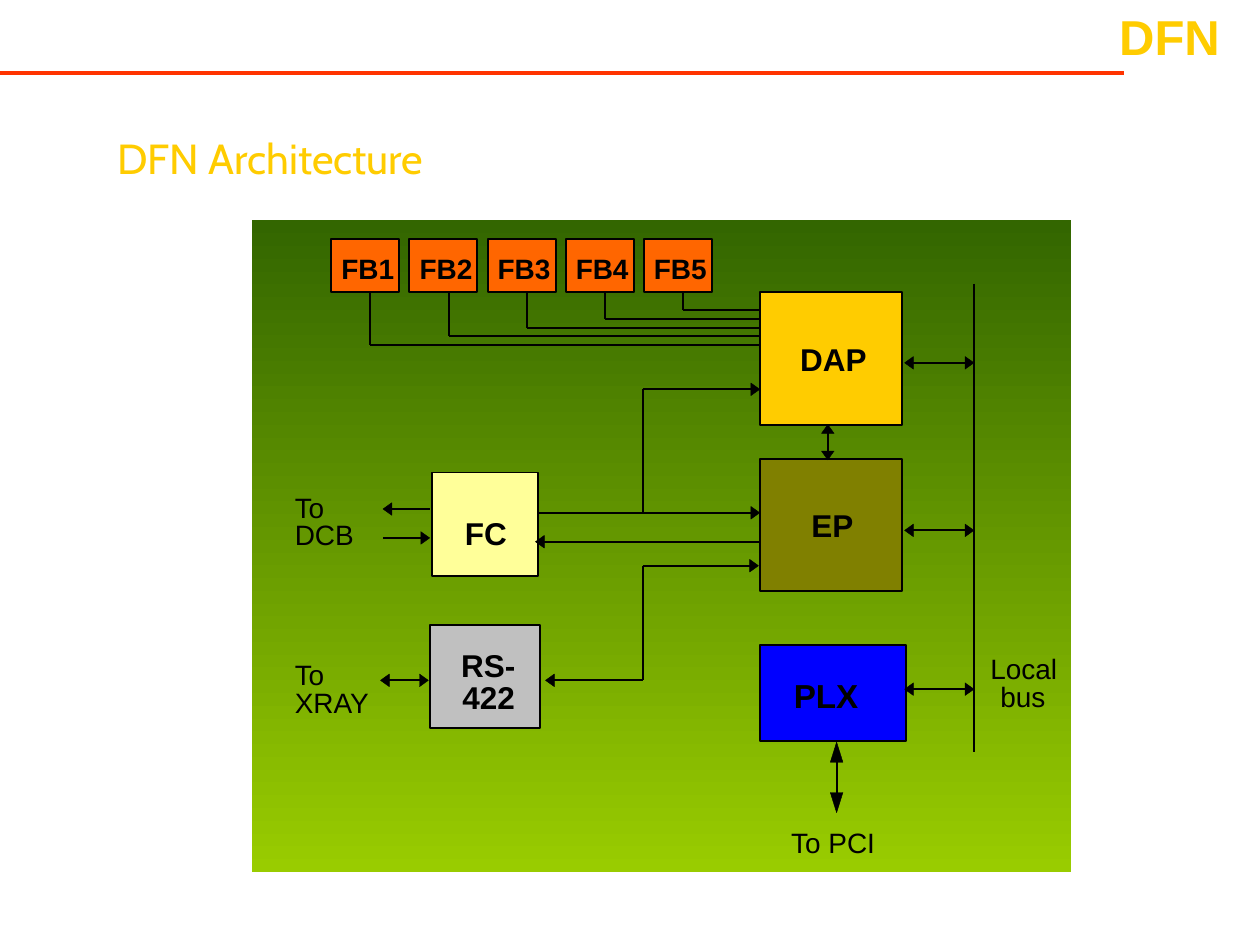
"""Build the DFN architecture slide."""
from dataclasses import dataclass
from itertools import pairwise
from math import hypot

from lxml import etree
from pptx import Presentation
from pptx.dml.color import RGBColor
from pptx.enum.shapes import MSO_CONNECTOR, MSO_SHAPE
from pptx.enum.text import MSO_ANCHOR, MSO_AUTO_SIZE, PP_ALIGN
from pptx.oxml.ns import qn
from pptx.util import Inches, Pt

RECTANGLE = MSO_SHAPE.RECTANGLE
STRAIGHT = MSO_CONNECTOR.STRAIGHT
LEFT, RIGHT = PP_ALIGN.LEFT, PP_ALIGN.RIGHT
TOP, BOTTOM = MSO_ANCHOR.TOP, MSO_ANCHOR.BOTTOM
GROW = MSO_AUTO_SIZE.SHAPE_TO_FIT_TEXT

Point = tuple[float, float]


@dataclass(frozen=True)
class Theme:
    ink: str = "000000"
    gold: str = "FFCC00"
    olive: str = "808000"
    blue: str = "0000FF"
    rule: str = "FF3300"
    panel_top: str = "336600"
    panel_bottom: str = "99CC00"
    feedback: str = "FF6600"
    font: str = "Arial"
    heading_font: str = "Cabin"
    label: float = 16
    block: float = 18
    large_block: float = 19
    heading: float = 24
    title: float = 28
    wire: float = 1.13
    arrow_edge: float = 0.25
    rule_width: float = 2.25


THEME = Theme()


@dataclass(frozen=True)
class Block:
    left: float
    top: float
    width: float
    height: float
    fill: str


@dataclass(frozen=True)
class Label:
    text: str
    left: float
    top: float
    width: float
    height: float = 0.27
    size: float = THEME.label
    bold: bool = False
    color: str = THEME.ink
    font: str = THEME.font
    align: PP_ALIGN = LEFT
    anchor: MSO_ANCHOR = TOP
    fill: str = ""
    inset: float = 0


@dataclass(frozen=True)
class Wire:
    points: tuple[Point, ...]
    start_arrow: bool = False
    end_arrow: bool = False
    arrow_length: float = 0.07
    color: str = THEME.ink
    width: float = THEME.wire


BLOCKS = (
    Block(6.03, 2.32, 1.13, 1.05, THEME.gold),
    Block(6.03, 3.64, 1.13, 1.05, THEME.olive),
    Block(6.03, 5.12, 1.16, 0.76, THEME.blue),
    Block(3.43, 3.75, 0.84, 0.82, "FFFF99"),
    Block(3.41, 4.96, 0.88, 0.82, "C0C0C0"),
)

LABELS = (
    Label("DAP", 6.28, 2.7, 0.62, 0.3, THEME.block, True, fill=THEME.gold, inset=0.07),
    Label("EP", 6.3, 4.02, 0.49, 0.3, THEME.block, True, fill=THEME.olive, inset=0.14),
    Label("PLX", 6.3, 5.36, 0.54, 0.32, THEME.large_block, True, fill=THEME.blue),
    Label("FC", 3.69, 4.08, 0.36, 0.3, THEME.block, True),
    Label("RS-", 3.66, 5.13, 0.46, 0.3, THEME.block, True),
    Label("422", 3.67, 5.38, 0.44, 0.3, THEME.block, True),
    Label("To", 2.34, 3.89, 0.26),
    Label("DCB", 2.34, 4.11, 0.48),
    Label("To", 2.34, 5.22, 0.26),
    Label("XRAY", 2.34, 5.44, 0.61),
    Label("Local", 7.86, 5.17, 0.54),
    Label("bus", 7.94, 5.39, 0.44),
    Label("To PCI", 6.28, 6.55, 0.7),
    Label("DFN Architecture", 0.93, 1.05, 8.13, 0.4, THEME.heading,
          color=THEME.gold, font=THEME.heading_font),
    Label("DFN", 0.43, 0.05, 9.25, 0.47, THEME.title, True, THEME.gold,
          align=RIGHT, anchor=BOTTOM),
)

WIRES = (
    Wire(((7.73, 2.25), (7.73, 5.97))),
    *(Wire(((7.18, y), (7.73, y)), True, True) for y in (2.88, 4.21, 5.47)),
    Wire(((6.57, 3.37), (6.57, 3.65)), True, True),
    Wire(((6.64, 5.89), (6.64, 6.45)), True, True, 0.16),
    Wire(((4.27, 4.07), (6.03, 4.07)), end_arrow=True),
    Wire(((6.03, 4.3), (4.25, 4.3)), end_arrow=True),
    Wire(((3.41, 4.04), (3.04, 4.04)), end_arrow=True),
    Wire(((3.04, 4.27), (3.41, 4.27)), end_arrow=True),
    Wire(((3.02, 5.4), (3.4, 5.4)), True, True),
    Wire(((5.1, 4.07), (5.1, 3.09), (6.03, 3.09)), end_arrow=True),
    Wire(((4.33, 5.4), (5.1, 5.4), (5.1, 4.49), (6.02, 4.49)), True, True),
)


def rgb(value: str) -> RGBColor:
    """Turn a hex string into a colour."""
    return RGBColor.from_string(value)


def paint(shape, fill: str, width: float) -> None:
    """Give a shape a flat fill and a black outline."""
    shape.shadow.inherit = False
    shape.fill.solid()
    shape.fill.fore_color.rgb = rgb(fill)
    shape.line.color.rgb = rgb(THEME.ink)
    shape.line.width = Pt(width)


def draw_panel(page) -> None:
    """Draw the gradient panel behind the diagram."""
    panel = page.shapes.add_shape(RECTANGLE, Inches(2), Inches(1.75), Inches(6.5), Inches(5.17))
    panel.shadow.inherit = False
    panel.line.fill.background()
    panel.fill.gradient()
    panel.fill.gradient_angle = 270
    for stop, color in zip(panel.fill.gradient_stops, (THEME.panel_top, THEME.panel_bottom)):
        stop.color.rgb = rgb(color)


def draw_block(page, block: Block) -> None:
    """Draw one outlined block."""
    edges = map(Inches, (block.left, block.top, block.width, block.height))
    paint(page.shapes.add_shape(RECTANGLE, *edges), block.fill, THEME.wire)


def draw_label(page, label: Label) -> None:
    """Draw one line of text."""
    edges = map(Inches, (label.left, label.top, label.width, label.height))
    box = page.shapes.add_textbox(*edges)
    if label.fill:
        box.fill.solid()
        box.fill.fore_color.rgb = rgb(label.fill)
    frame_format = {"margin_left": Inches(label.inset), "margin_top": 0, "margin_right": 0,
                    "margin_bottom": 0, "word_wrap": label.width > 1, "auto_size": GROW,
                    "vertical_anchor": label.anchor}
    for name, value in frame_format.items():
        setattr(box.text_frame, name, value)
    para = box.text_frame.paragraphs[0]
    para.alignment = label.align
    span = para.add_run()
    span.text = label.text
    font_format = {"name": label.font, "size": Pt(label.size), "bold": label.bold}
    for name, value in font_format.items():
        setattr(span.font, name, value)
    span.font.color.rgb = rgb(label.color)


def step_back(tip: Point, origin: Point, distance: float) -> Point:
    """Return the point at a distance from the tip toward the origin."""
    share = distance / hypot(origin[0] - tip[0], origin[1] - tip[1])
    return tip[0] + (origin[0] - tip[0]) * share, tip[1] + (origin[1] - tip[1]) * share


def draw_arrowhead(page, tip: Point, origin: Point, length: float) -> None:
    """Draw a filled triangle that points from the origin to the tip."""
    base = step_back(tip, origin, length)
    across, down = (0.05 * (base[i] - tip[i]) / length for i in (0, 1))
    corners = ((base[0] - down, base[1] + across), (base[0] + down, base[1] - across))
    builder = page.shapes.build_freeform(*map(Inches, tip))
    builder.add_line_segments([tuple(map(Inches, corner)) for corner in corners])
    paint(builder.convert_to_shape(), THEME.ink, THEME.arrow_edge)


def draw_wire(page, wire: Wire) -> None:
    """Draw a run of straight segments with arrowheads at its ends."""
    points = list(wire.points)
    for shown, end, neighbour in ((wire.start_arrow, 0, 1), (wire.end_arrow, -1, -2)):
        if shown:
            tip, origin = wire.points[end], wire.points[neighbour]
            draw_arrowhead(page, tip, origin, wire.arrow_length)
            points[end] = step_back(tip, origin, 0.75 * wire.arrow_length)
    for start, end in pairwise(points):
        line = page.shapes.add_connector(STRAIGHT, *map(Inches, start + end))
        line.line.color.rgb = rgb(wire.color)
        line.line.width = Pt(wire.width)
        etree.SubElement(line._element.spPr, qn("a:effectLst"))


def draw_feedback_row(page) -> None:
    """Draw the five FB blocks and their wires into DAP."""
    for index in range(5):
        left = 2.63 + 0.62 * index
        center, level = left + 0.31, 2.74 - 0.07 * index
        draw_block(page, Block(left, 1.9, 0.54, 0.42, THEME.feedback))
        draw_label(page, Label(f"FB{index + 1}", left + 0.02, 2, 0.49, bold=True,
                               fill=THEME.feedback, inset=0.06))
        draw_wire(page, Wire(((center, 2.32), (center, level), (6.03, level))))


def main() -> None:
    """Build and save the deck."""
    deck = Presentation()
    deck.slide_width, deck.slide_height = Inches(10), Inches(7.5)
    page = deck.slides.add_slide(deck.slide_layouts[6])
    draw_wire(page, Wire(((0, 0.58), (8.92, 0.58)), color=THEME.rule, width=THEME.rule_width))
    draw_panel(page)
    for block in BLOCKS:
        draw_block(page, block)
    draw_feedback_row(page)
    for wire in WIRES:
        draw_wire(page, wire)
    for label in LABELS:
        draw_label(page, label)
    deck.save("out.pptx")


if __name__ == "__main__":
    main()
